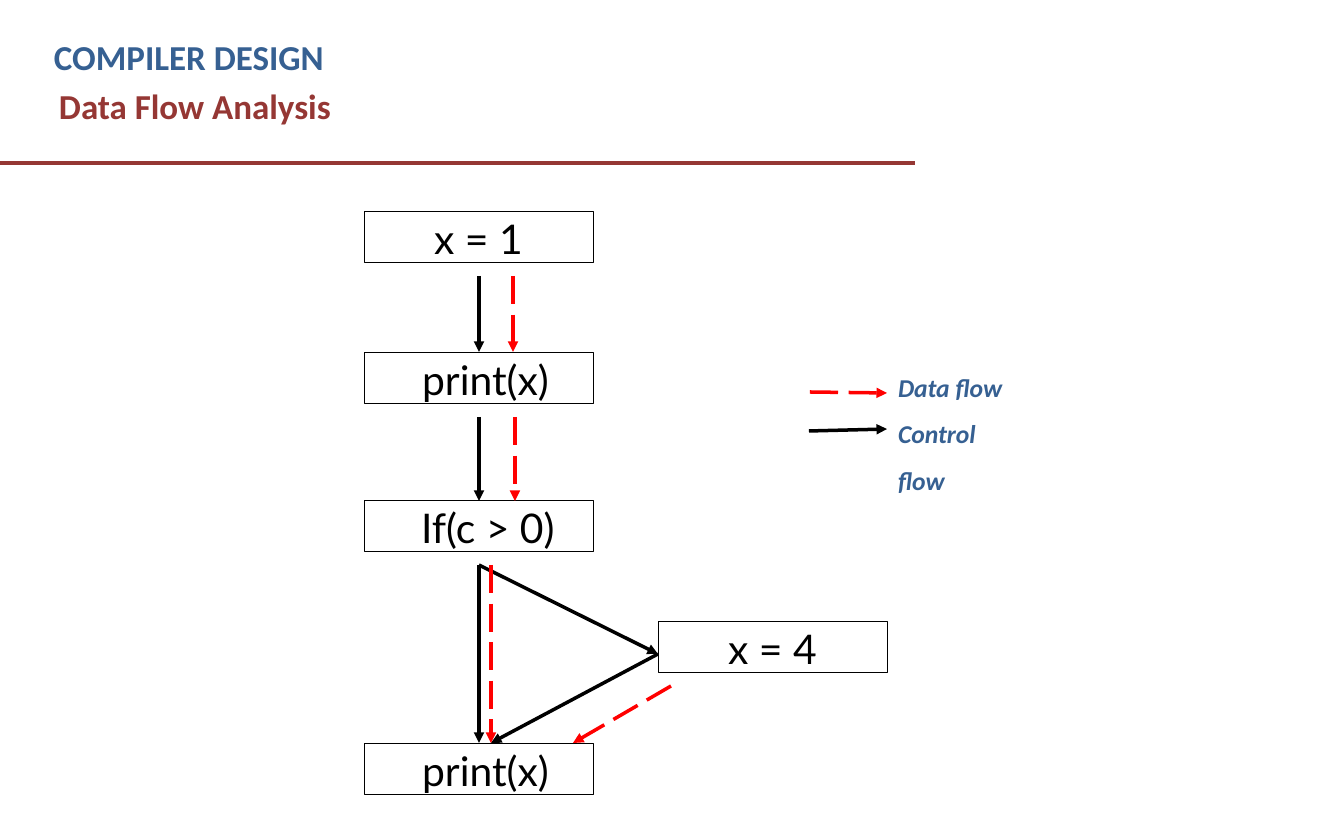
import pptx
import pptx.util
import pptx.dml.color
import pptx.enum.dml
import pptx.enum.shapes
import pptx.enum.text
import pptx.oxml
import pptx.oxml.ns

PX = 914400 / 84
BLACK, RED, BLUE, MAROON = "000000", "FF0000", "366092", "953734"
ALIGN = pptx.enum.text.PP_ALIGN
NODE_WIDTH, NODE_HEIGHT = 229, 52
NODES = [
    ("x = 1", 364, 211, 0, ALIGN.CENTER),
    ("print(x)", 364, 352, 58, ALIGN.LEFT),
    ("If(c > 0)", 364, 500, 57, ALIGN.LEFT),
    ("x = 4", 658, 621, 0, ALIGN.CENTER),
    ("print(x)", 364, 743, 58, ALIGN.LEFT),
]
CONTROL_FLOWS = [
    (479, 276, 479, 352),
    (479, 417, 479, 501),
    (479, 565, 479, 743),
    (479, 565, 658, 654),
    (658, 654, 491, 743),
    (809, 431, 887, 429),
]
DATA_FLOWS = [
    (513, 276, 513, 352),
    (515, 417, 515, 501),
    (491, 565, 491, 743),
    (671, 686, 573, 743),
    (810, 392, 887, 393),
]


def px(length):
    return pptx.util.Emu(round(length * PX))


def color(value):
    return pptx.dml.color.RGBColor.from_string(value)


def write(box, text, size, font="Calibri", fill=BLUE, bold=True, italic=False,
          align=ALIGN.LEFT, insets=(0, 0, 0, 0), spacing=1.0):
    frame = box.text_frame
    frame.word_wrap = True
    frame.auto_size = pptx.enum.text.MSO_AUTO_SIZE.NONE
    frame.vertical_anchor = pptx.enum.text.MSO_ANCHOR.TOP
    frame.margin_left, frame.margin_top, frame.margin_right, frame.margin_bottom = map(px, insets)
    para = frame.paragraphs[0]
    para.alignment = align
    para.line_spacing = spacing
    span = para.add_run()
    span.text = text
    span.font.name = font
    span.font.size = pptx.util.Pt(size)
    span.font.bold = bold
    span.font.italic = italic
    span.font.color.rgb = color(fill)


def add_text(page, text, left, top, width, height, **style):
    box = page.shapes.add_textbox(px(left), px(top), px(width), px(height))
    write(box, text, **style)


def add_title(page, text, left, top, width, height, **style):
    title = page.shapes.title
    title.left, title.top, title.width, title.height = map(px, (left, top, width, height))
    write(title, text, **style)


def add_node(page, text, left, top, indent, align):
    node = page.shapes.add_shape(pptx.enum.shapes.MSO_SHAPE.RECTANGLE,
                                 px(left), px(top), px(NODE_WIDTH), px(NODE_HEIGHT))
    node.shadow.inherit = False
    node.fill.background()
    node.line.color.rgb = color(BLACK)
    node.line.width = pptx.util.Pt(0.75)
    write(node, text, size=35, font="Lato", fill=BLACK, bold=False,
          align=align, insets=(indent, 3, 0, 0))


def add_line(page, points, stroke, dashed=False, arrow=True):
    line = page.shapes.add_connector(pptx.enum.shapes.MSO_CONNECTOR.STRAIGHT, *map(px, points))
    line.line.color.rgb = color(stroke)
    line.line.width = pptx.util.Pt(3)
    if dashed:
        line.line.dash_style = pptx.enum.dml.MSO_LINE.LONG_DASH
    properties = line.element.spPr
    if arrow:
        head = pptx.oxml.parse_xml(f'<a:tailEnd {pptx.oxml.ns.nsdecls("a")} type="triangle"/>')
        properties.find(pptx.oxml.ns.qn("a:ln")).append(head)
    properties.append(pptx.oxml.parse_xml(f'<a:effectLst {pptx.oxml.ns.nsdecls("a")}/>'))


def main():
    deck = pptx.Presentation()
    deck.slide_width, deck.slide_height = px(1344), px(840)
    page = deck.slides.add_slide(deck.slide_layouts[5])
    add_line(page, (0, 163, 915, 163), MAROON, arrow=False)
    add_title(page, "COMPILER DESIGN", 44, 31, 827, 53, size=30, insets=(10, 5, 10, 5))
    add_text(page, "Data Flow Analysis", 49, 80, 875, 53, size=30, fill=MAROON,
             insets=(10, 5, 10, 5))
    for node in NODES:
        add_node(page, *node)
    for points in CONTROL_FLOWS:
        add_line(page, points, BLACK)
    for points in DATA_FLOWS:
        add_line(page, points, RED, dashed=True)
    add_text(page, "Data flow Control flow", 897, 354, 130, 142, size=22, italic=True,
             insets=(1, 2, 0, 0), spacing=1.51)
    deck.save("out.pptx")


if __name__ == "__main__":
    main()
